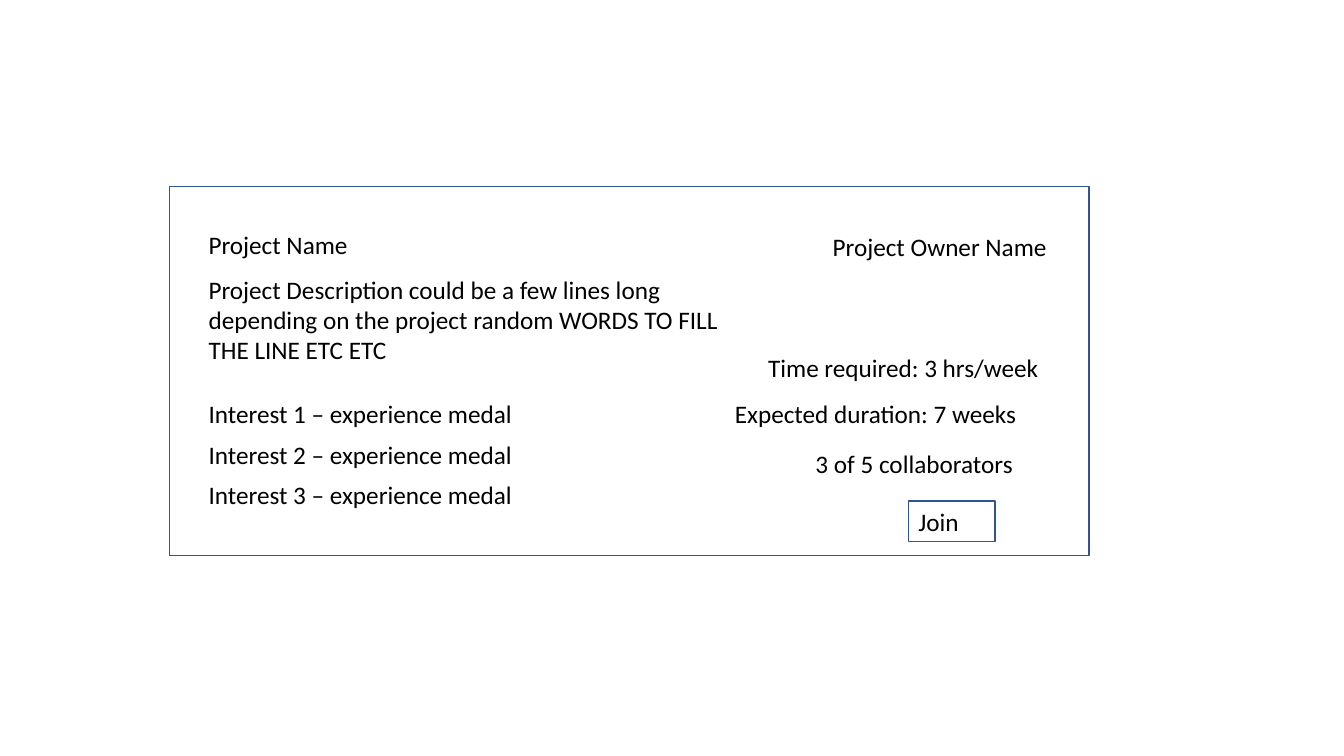
from dataclasses import dataclass

from pptx import Presentation
from pptx.dml.color import RGBColor
from pptx.enum.shapes import MSO_SHAPE
from pptx.enum.text import MSO_AUTO_SIZE
from pptx.slide import Slide
from pptx.util import Inches, Pt

RECTANGLE = MSO_SHAPE.RECTANGLE
FIT_SHAPE = MSO_AUTO_SIZE.SHAPE_TO_FIT_TEXT
BLANK_LAYOUT = 6


@dataclass(frozen=True)
class Theme:
    font: str = "Calibri"
    text_size: Pt = Pt(18)
    text_color: RGBColor = RGBColor(0x00, 0x00, 0x00)
    outline_color: RGBColor = RGBColor(0x32, 0x54, 0x91)
    outline_width: Pt = Pt(1)


@dataclass(frozen=True)
class Frame:
    left: float
    top: float
    width: float
    height: float


@dataclass(frozen=True)
class Label:
    text: str
    left: float
    top: float
    width: float
    height: float = 0.4


THEME = Theme()
LEFT_COLUMN = 1.97
INTEREST_TOP = 3.9
INTEREST_STEP = 0.405
JOIN_LEFT, JOIN_TOP = 9.01, 4.97

FRAMES = [
    Frame(1.68, 1.85, 9.12, 3.66),  # project card
    Frame(JOIN_LEFT, JOIN_TOP, 0.86, 0.4),  # join button
]

PROJECT_LABELS = [
    Label("Project Name", LEFT_COLUMN, 2.23, 2.59),
    Label(
        "Project Description could be a few lines long depending on the "
        "project random WORDS TO FILL THE LINE ETC ETC",
        LEFT_COLUMN, 2.67, 5.69, 1.01,
    ),
]
INTEREST_LABELS = [
    Label(f"Interest {index + 1} – experience medal",
          LEFT_COLUMN, INTEREST_TOP + index * INTEREST_STEP, 3.85)
    for index in range(3)
]
DETAIL_LABELS = [
    Label("Project Owner Name", 8.16, 2.25, 2.59),
    Label("Time required: 3 hrs/week", 7.52, 3.45, 2.97),
    Label("Expected duration: 7 weeks", 7.19, INTEREST_TOP, 3.31),
    Label("3 of 5 collaborators", 7.99, 4.4, 2.33),
    Label("Join", JOIN_LEFT, JOIN_TOP, 1.01),
]


def add_frame(slide: Slide, frame: Frame) -> None:
    shape = slide.shapes.add_shape(
        RECTANGLE, Inches(frame.left), Inches(frame.top),
        Inches(frame.width), Inches(frame.height))
    shape.shadow.inherit = False
    shape.fill.background()
    shape.line.color.rgb = THEME.outline_color
    shape.line.width = THEME.outline_width


def add_label(slide: Slide, label: Label) -> None:
    text_box = slide.shapes.add_textbox(
        Inches(label.left), Inches(label.top),
        Inches(label.width), Inches(label.height))
    text_frame = text_box.text_frame
    text_frame.word_wrap = True
    text_frame.auto_size = FIT_SHAPE
    run = text_frame.paragraphs[0].add_run()
    run.text = label.text
    run.font.name = THEME.font
    run.font.size = THEME.text_size
    run.font.color.rgb = THEME.text_color


def main() -> None:
    presentation = Presentation()
    presentation.slide_width = Inches(13.33)
    presentation.slide_height = Inches(7.5)
    slide = presentation.slides.add_slide(
        presentation.slide_layouts[BLANK_LAYOUT])

    # Card and button outlines
    for frame in FRAMES:
        add_frame(slide, frame)

    # Card texts
    for label in PROJECT_LABELS + INTEREST_LABELS + DETAIL_LABELS:
        add_label(slide, label)

    presentation.save("out.pptx")


main()
